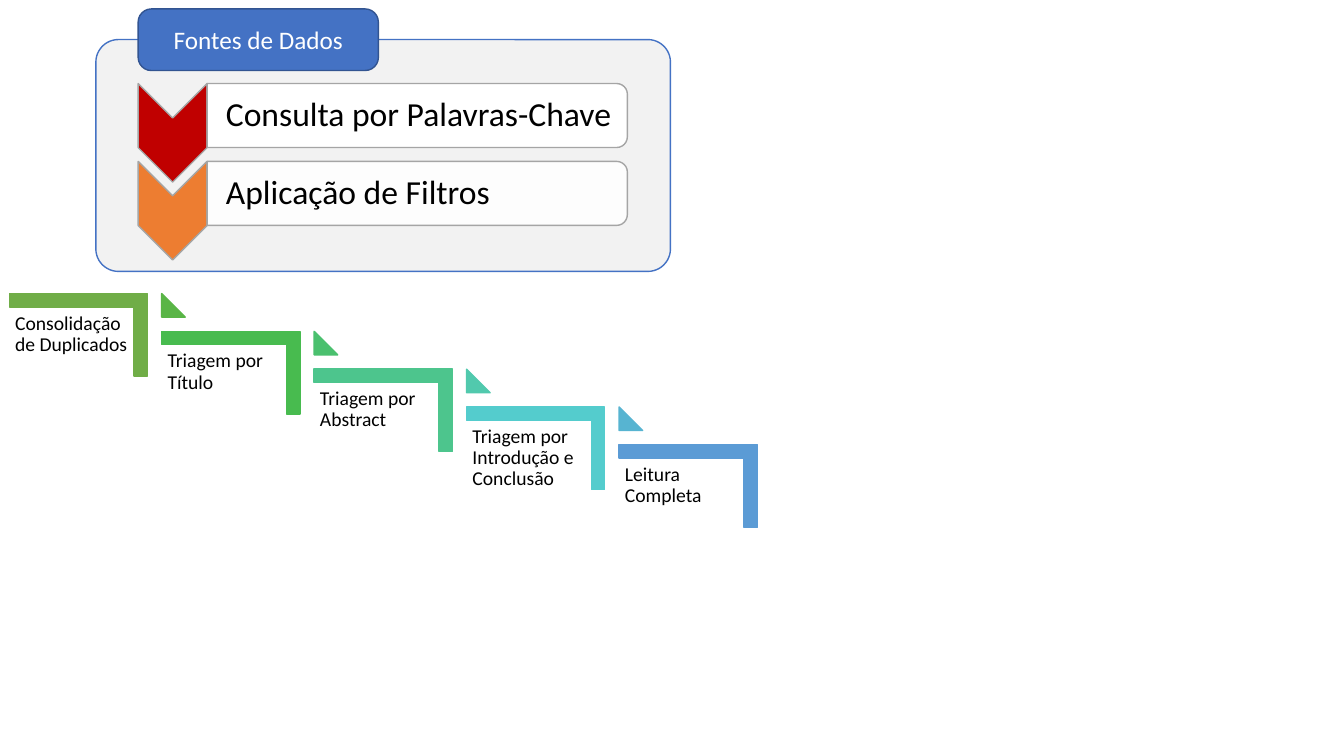
from dataclasses import dataclass
from lxml.etree import SubElement
from pptx import Presentation
from pptx.dml.color import RGBColor
from pptx.enum.shapes import MSO_SHAPE
from pptx.enum.text import MSO_ANCHOR, PP_ALIGN
from pptx.oxml.ns import qn
from pptx.util import Pt


@dataclass(frozen=True)
class Theme:
    font: str = "Calibri"
    title_size: int = 18
    source_size: int = 24
    step_size: int = 14
    ink: str = "000000"
    white: str = "FFFFFF"
    panel: str = "F2F2F2"
    accent: str = "4472C4"
    accent_dark: str = "325491"
    outline: str = "A5A5A5"


T = Theme()

SOURCES = [
    ("Consulta por Palavras-Chave", "C00000", 100),
    ("Aplicação de Filtros", "ED7D31", 90),
]
STEPS = [
    ("Consolidação de Duplicados", "70AD47", None),
    ("Triagem por Título", "48BB4F", "59B546"),
    ("Triagem por Abstract", "4DC58D", "4AC06E"),
    ("Triagem por Introdução e Conclusão", "54CCCD", "51C9AD"),
    ("Leitura Completa", "5B9BD5", "57B4D1"),
]


def add_block(g, kind, box, fill, line, rot=0, adj=(), alpha=100):
    x, y, w, h = box
    if rot == 90:
        x, y, w, h = x + (w - h) / 2, y + (h - w) / 2, h, w
    sp = g.shapes.add_shape(kind, Pt(x), Pt(y), Pt(w), Pt(h))
    sp.shadow.inherit = False
    sp.rotation = rot
    for i, value in enumerate(adj):
        sp.adjustments[i] = value
    sp.fill.solid()
    sp.fill.fore_color.rgb = RGBColor.from_string(fill)
    sp.line.color.rgb = RGBColor.from_string(line)
    sp.line.width = Pt(1)
    if alpha < 100:
        clr = sp.element.spPr.find(qn("a:solidFill"))[0]
        SubElement(clr, qn("a:alpha"), val=str(alpha * 1000))
    return sp


def add_corner(g, box, color):
    sp = add_block(g, MSO_SHAPE.HALF_FRAME, box, color, color, 180, (0.161, 0.161))
    sp.element.spPr.find(qn("a:prstGeom")).set("prst", "corner")


def write(sp, text, size, color, anchor, align=PP_ALIGN.LEFT, after=0, spacing=0.9):
    tf = sp.text_frame
    tf.word_wrap = True
    tf.vertical_anchor = anchor
    p = tf.paragraphs[0]
    p.alignment = align
    p.line_spacing = spacing
    p.space_after = Pt(after)
    r = p.add_run()
    r.text = text
    r.font.name = T.font
    r.font.size = Pt(size)
    r.font.color.rgb = RGBColor.from_string(color)


def add_label(g, box, text, size, insets, anchor, after):
    sp = g.shapes.add_textbox(*map(Pt, box))
    tf = sp.text_frame
    tf.margin_left, tf.margin_top, tf.margin_right, tf.margin_bottom = map(Pt, insets)
    write(sp, text, size, T.ink, anchor, after=after)


def add_staircase(s, x, y, w, h):
    g = s.shapes.add_group_shape()
    dx, dy = 108.9, 27
    step_w = w - dx * (len(STEPS) - 1)
    step_h = h - dy * (len(STEPS) - 1)
    for i, (text, color, marker) in reversed(list(enumerate(STEPS))):
        left, top = x + i * dx, y + i * dy
        add_corner(g, (left, top, step_w, step_h), color)
        add_label(g, (left, top + 9.8, 89.3, 77.8), text, T.step_size,
                  (4.2,) * 4, MSO_ANCHOR.TOP, 4.9)
        if marker:
            add_block(g, MSO_SHAPE.ISOSCELES_TRIANGLE, (left, top - dy, 16.8, 16.8),
                      marker, marker, 90, (1,))


def add_sources(s, x, y, w, h):
    g = s.shapes.add_group_shape()
    add_block(g, MSO_SHAPE.ROUNDED_RECTANGLE, (x, y, w, h), T.panel, T.accent, adj=(0.097,))
    left = x + 30.2
    title = add_block(g, MSO_SHAPE.ROUNDED_RECTANGLE, (left, y - 21.9, 171.6, 44),
                      T.accent, T.accent_dark, adj=(0.214,))
    write(title, "Fontes de Dados", T.title_size, T.white, MSO_ANCHOR.MIDDLE,
          PP_ALIGN.CENTER, spacing=1)
    arrow_w, arrow_h, bar_h, pitch = 49.2, 70.4, 45.7, 55.6
    bar_x = left + arrow_w
    for i, (text, color, alpha) in enumerate(SOURCES):
        top = y + 31.4 + i * pitch
        add_block(g, MSO_SHAPE.CHEVRON, (left, top, arrow_w, arrow_h), color, T.outline, 90)
        add_block(g, MSO_SHAPE.ROUND_2_SAME_RECTANGLE, (bar_x, top, 300.2, bar_h),
                  T.white, T.outline, 90, alpha=alpha)
        add_label(g, (bar_x, top + 2.2, 298, 41.3), text, T.source_size,
                  (13.4, 1.2, 1.2, 1.2), MSO_ANCHOR.MIDDLE, 3.6)


prs = Presentation()
prs.slide_width, prs.slide_height = Pt(960), Pt(540)
s = prs.slides.add_slide(prs.slide_layouts[6])
add_staircase(s, 6.6, 209.7, 534.3, 167)
add_sources(s, 68.5, 28.3, 410.4, 165.6)
prs.save("out.pptx")
